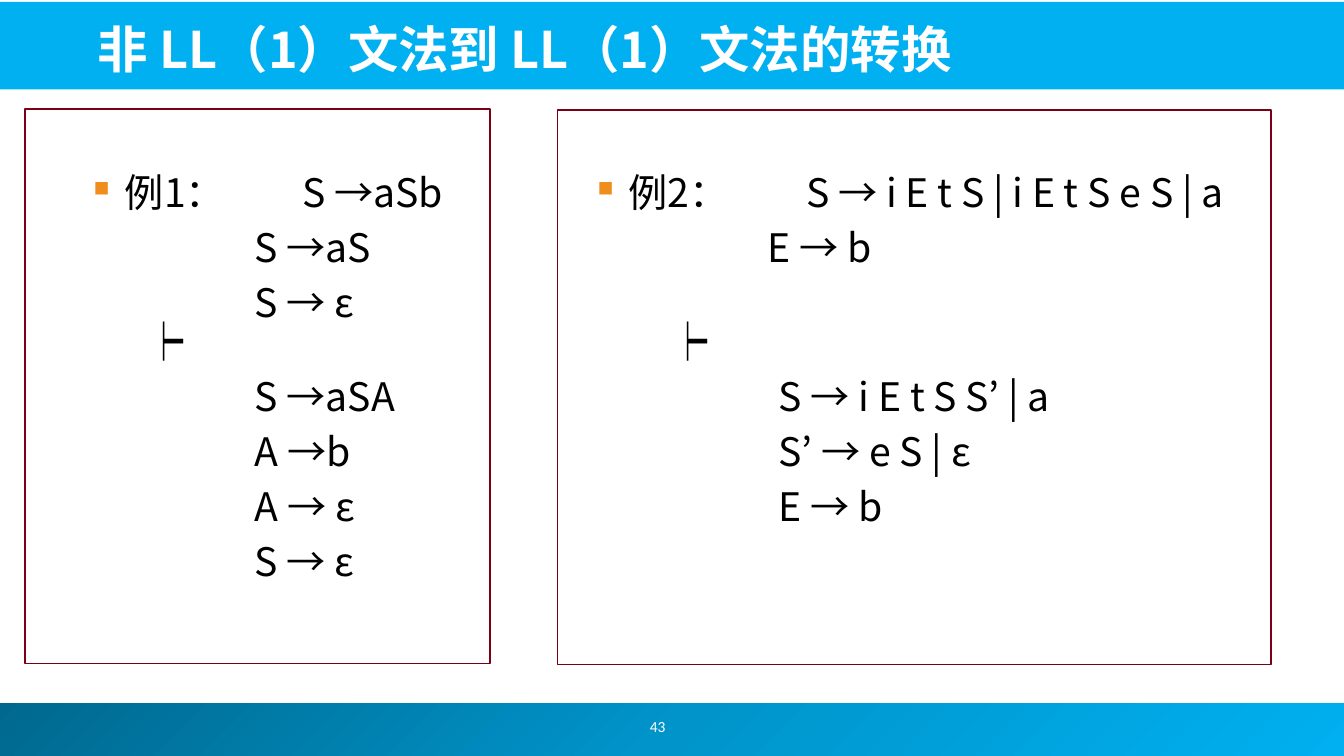
from copy import deepcopy

from lxml import etree
from pptx import Presentation
from pptx.dml.color import RGBColor
from pptx.enum import shapes, text
from pptx.oxml import ns
from pptx.util import Pt

SKY = RGBColor(0x00, 0xB0, 0xF0)
MID_BLUE = RGBColor(0x00, 0x94, 0xCA)
DEEP_BLUE = RGBColor(0x00, 0x68, 0x8E)
MAROON = RGBColor(0x79, 0x00, 0x15)
ORANGE = RGBColor(0xEF, 0x8E, 0x1C)
WHITE = RGBColor(0xFF, 0xFF, 0xFF)
BLACK = RGBColor(0x00, 0x00, 0x00)

CJK_FONT = "Noto Sans CJK JP"
LINE_PITCH = 39.3
HEADING_INDENT = 58.3
BULLET_HANG = 22.3
HEADING_TAB = 185
SIGN_INDENT = 72
RULE_INDENT = 151


def add_element(parent, tag, **attributes):
    return etree.SubElement(parent, ns.qn(tag), attributes)


def add_rect(page, box, color=None):
    rect = page.shapes.add_shape(
        shapes.MSO_SHAPE.RECTANGLE, *(Pt(length) for length in box))
    rect.shadow.inherit = False
    rect.line.fill.background()
    if color is not None:
        rect.fill.solid()
        rect.fill.fore_color.rgb = color
    return rect


def add_frame(page, box, anchor=text.MSO_ANCHOR.TOP):
    frame = page.shapes.add_textbox(*(Pt(length) for length in box)).text_frame
    frame.word_wrap = True
    frame.vertical_anchor = anchor
    return frame


def style(para, name, size, color, bold=False):
    font = para.font
    font.name, font.size, font.bold = name, Pt(size), bold
    font.color.rgb = color
    add_element(para._p.pPr.find(ns.qn("a:defRPr")), "a:ea", typeface=name)


def set_indent(para, left, hang=0):
    props = para._p.get_or_add_pPr()
    props.set("marL", str(Pt(left)))
    props.set("indent", str(-Pt(hang)))
    return props


def add_bullet_and_tab(props):
    bullet_color = add_element(props, "a:buClr")
    add_element(bullet_color, "a:srgbClr", val=str(ORANGE))
    add_element(props, "a:buSzPct", val="55000")
    add_element(props, "a:buChar", char="■")
    tabs = add_element(props, "a:tabLst")
    add_element(tabs, "a:tab", pos=str(Pt(HEADING_TAB)), algn="l")


def add_lines(page, box, first, rules, headed, rule_indent=RULE_INDENT):
    frame = add_frame(page, box)
    for index, line in enumerate([first, *rules]):
        para = frame.paragraphs[0] if index == 0 else frame.add_paragraph()
        para.text = line
        para.line_spacing = Pt(LINE_PITCH)
        if index:
            set_indent(para, rule_indent)
        elif headed:
            add_bullet_and_tab(set_indent(para, HEADING_INDENT, BULLET_HANG))
        else:
            set_indent(para, SIGN_INDENT)
        style(para, CJK_FONT, 28, BLACK)


def add_title(page, left, top, width, height):
    add_rect(page, (left, top, width, height), SKY)
    frame = add_frame(page, (left + 64, top + 2, width - 94, height - 6),
                      text.MSO_ANCHOR.BOTTOM)
    para = frame.paragraphs[0]
    para.text = "非 LL（1）文法到 LL（1）文法的转换"
    style(para, CJK_FONT, 36, WHITE, bold=True)


def add_footer(page, left, top, width, height):
    fill = add_rect(page, (left, top, width, height)).fill
    fill.gradient()
    fill.gradient_angle = 315
    first, last = fill.gradient_stops
    first.color.rgb, first.position = MID_BLUE, 0.5
    last.color.rgb, last.position = SKY, 1
    first._gs.addprevious(deepcopy(first._gs))
    start = fill.gradient_stops[0]
    start.color.rgb, start.position = DEEP_BLUE, 0
    frame = add_frame(page, (left + 369.4, top - 2, 208, 36),
                      text.MSO_ANCHOR.MIDDLE)
    para = frame.paragraphs[0]
    para.text = "43"
    para.alignment = text.PP_ALIGN.CENTER
    style(para, "Calibri", 11, WHITE)


def add_example(page, box, offsets, heading, rules, result, rule_indent):
    left, top, width, height = box
    border = add_rect(page, box, WHITE)
    border.line.color.rgb = MAROON
    border.line.width = Pt(1)
    before, after = (left + offset for offset in offsets)
    add_lines(page, (before, 110.9, left + width + 40 - before, 130),
              heading, rules, True, rule_indent)
    add_lines(page, (after, 217.3, left + width + 40 - after, 211),
              "┝", result, False)


def main():
    deck = Presentation()
    deck.slide_width, deck.slide_height = Pt(960), Pt(540)
    page = deck.slides.add_slide(deck.slide_layouts[6])
    add_footer(page, -3.6, 502.5, 964, 37.5)
    add_title(page, -1.4, 1.4, 962, 62.6)
    add_example(page, (18, 77.8, 332, 396), (5.8, 5.8),
                "例1：\tS →aSb", ["S →aS", "S → ε"],
                ["S →aSA", "A →b", "A → ε", "S → ε"], RULE_INDENT)
    add_example(page, (398.2, 78.5, 509.8, 396), (-14.4, 0),
                "例2：\tS → i E t S | i E t S e S | a", ["E → b"],
                ["S → i E t S S’ | a", "S’ → e S | ε", "E → b"],
                RULE_INDENT + 6.5)
    deck.save("out.pptx")


if __name__ == "__main__":
    main()
